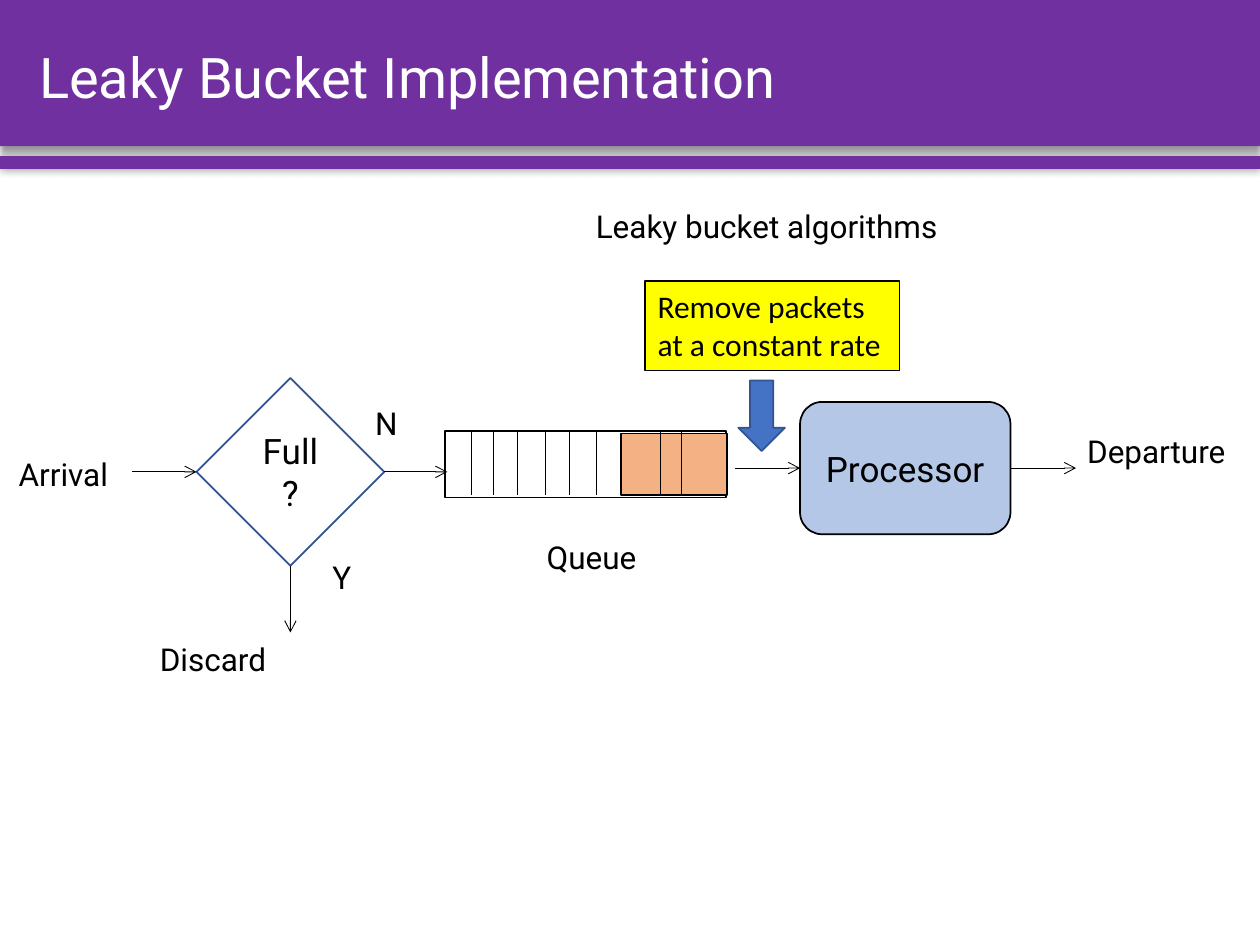
from lxml import etree
from pptx import Presentation
from pptx.dml.color import RGBColor
from pptx.enum.shapes import MSO_CONNECTOR, MSO_SHAPE
from pptx.enum.text import MSO_ANCHOR, PP_ALIGN
from pptx.oxml import parse_xml
from pptx.oxml.ns import nsdecls, qn
from pptx.util import Inches, Pt

RECT, ROUND = MSO_SHAPE.RECTANGLE, MSO_SHAPE.ROUNDED_RECTANGLE
DIAMOND, DOWN = MSO_SHAPE.DIAMOND, MSO_SHAPE.DOWN_ARROW
LINE = MSO_CONNECTOR.STRAIGHT
TOP, MIDDLE = MSO_ANCHOR.TOP, MSO_ANCHOR.MIDDLE
LEFT, CENTER = PP_ALIGN.LEFT, PP_ALIGN.CENTER

BLACK = RGBColor(0x00, 0x00, 0x00)
WHITE = RGBColor(0xFF, 0xFF, 0xFF)
PURPLE = RGBColor(0x70, 0x30, 0xA0)
NAVY = RGBColor(0x32, 0x54, 0x91)
BLUE = RGBColor(0x44, 0x72, 0xC4)
PALE = RGBColor(0xB4, 0xC7, 0xE7)
ORANGE = RGBColor(0xF4, 0xB1, 0x83)
YELLOW = RGBColor(0xFF, 0xFF, 0x00)

prs = Presentation()
prs.slide_width, prs.slide_height = Inches(10), Inches(7.5)
slide = prs.slides.add_slide(prs.slide_layouts[6])
shapes = slide.shapes

# Grid of 100 columns by 75 rows
COL = prs.slide_width / 100
ROW = prs.slide_height / 75


def add_box(kind, x, y, w, h, fill=None, edge=None, width=1, text="",
            size=18, color=BLACK, font="Roboto", align=LEFT, anchor=TOP):
    """Add a preset shape, or a text box when kind is None."""
    place = [int(x * COL), int(y * ROW), int(w * COL), int(h * ROW)]
    if kind is None:
        box = shapes.add_textbox(*place)
    else:
        box = shapes.add_shape(kind, *place)
        box.shadow.inherit = False
        box.fill.solid()
        box.fill.fore_color.rgb = fill
        if edge is None:
            box.line.fill.background()
        else:
            box.line.color.rgb = edge
            box.line.width = Pt(width)
    if text:
        frame = box.text_frame
        frame.word_wrap = True
        frame.vertical_anchor = anchor
        frame.text = text
        para = frame.paragraphs[0]
        para.alignment = align
        run = para.runs[0].font
        run.name, run.size, run.color.rgb = font, Pt(size), color
    return box


def add_line(x1, y1, x2, y2, arrow=False):
    """Add a thin black line, with an open arrowhead at its end if asked."""
    line = shapes.add_connector(LINE, int(x1 * COL), int(y1 * ROW),
                                int(x2 * COL), int(y2 * ROW))
    line.line.color.rgb = BLACK
    line.line.width = Pt(0.5)
    if arrow:
        etree.SubElement(line.line._get_or_add_ln(), qn("a:tailEnd"), type="arrow")
    etree.SubElement(line._element.spPr, qn("a:effectLst"))
    return line


# Header bands with soft shadows: top, height, blur, distance, direction
for y, h, blur, dist, turn in [(0, 11.6, 4, 3, 90), (12.4, 1, 5, 0, 0)]:
    band = add_box(RECT, 0, y, 100, h, PURPLE)
    glow = parse_xml(
        f'<a:outerShdw {nsdecls("a")} blurRad="{Pt(blur)}" dist="{Pt(dist)}" '
        f'dir="{turn * 60000}" rotWithShape="0"><a:srgbClr val="000000">'
        '<a:alpha val="40000"/></a:srgbClr></a:outerShdw>')
    band._element.spPr.find(qn("a:effectLst")).append(glow)

# Title
title = add_box(None, 3.1, 0, 94.5, 11.6, text="Leaky Bucket Implementation",
                size=32, color=WHITE, anchor=MIDDLE).text_frame
title.margin_left = title.margin_right = title.margin_bottom = 0
title.margin_top = Inches(0.05)

# Decision, queue and processor
full = add_box(DIAMOND, 15.6, 30, 14.9, 14.9, WHITE, NAVY, text="Full?",
               size=20, align=CENTER, anchor=MIDDLE)
add_box(RECT, 35.3, 34.2, 22.3, 5.3, WHITE, BLACK)
add_box(RECT, 49.3, 34.4, 8.4, 4.9, ORANGE, BLACK)
for x in [37.4, 39.2, 41.1, 43.3, 45.2, 47.3, 52.4, 54.1]:
    add_line(x, 34.3, x, 39.3)
server = add_box(ROUND, 63.5, 31.9, 16.7, 10.5, PALE, BLACK, text="Processor",
                 size=20, align=CENTER, anchor=MIDDLE)

# Flow arrows
add_line(10.5, 37.45, 15.6, 37.45, True).end_connect(full, 1)
add_line(23.05, 44.9, 23.05, 50.2, True).begin_connect(full, 2)
add_line(30.5, 37.45, 35.5, 37.45, True).begin_connect(full, 3)
add_line(58.3, 37.15, 63.5, 37.15, True).end_connect(server, 1)
add_line(80.2, 37.15, 85.4, 37.15, True).begin_connect(server, 3)

# Labels
for text, x, y, w in [
    ("Arrival", 0.5, 35.6, 10.5),
    ("N", 28.8, 31.6, 3),
    ("Y", 25.4, 43.8, 3),
    ("Discard", 11.7, 50.3, 12.1),
    ("Queue", 42.4, 42.2, 10.5),
    ("Departure", 85.3, 33.8, 14.7),
    ("Leaky bucket algorithms", 46.3, 15.9, 31.1),
]:
    add_box(None, x, y, w, 4, text=text)

# Callout on the service rate
add_box(RECT, 51.2, 22.3, 20.2, 7.1, YELLOW, BLACK, 0.75,
        "Remove packets at a constant rate", font="Calibri")
add_box(DOWN, 58.6, 30.2, 3.7, 5.6, BLUE, NAVY)

prs.save("out.pptx")
